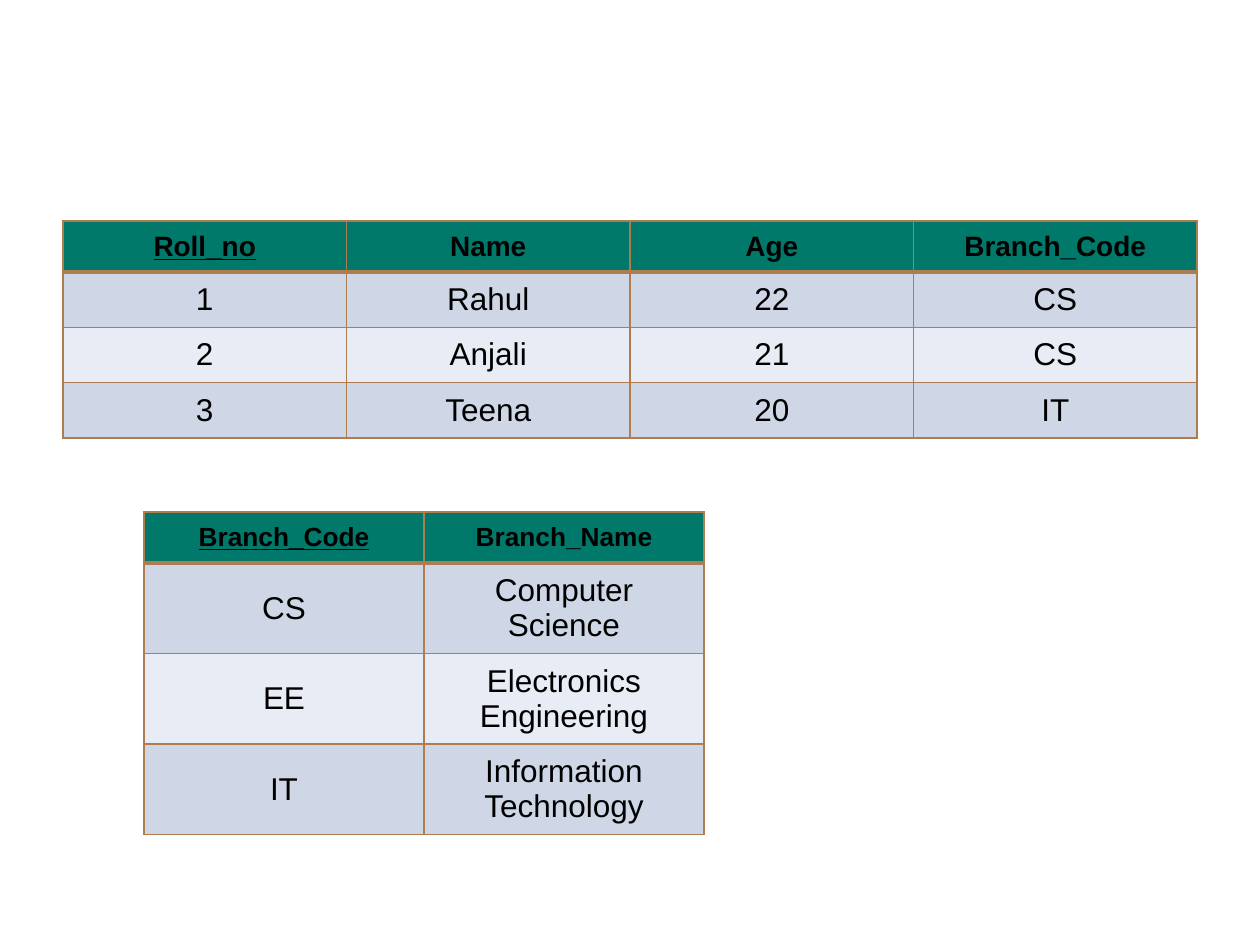
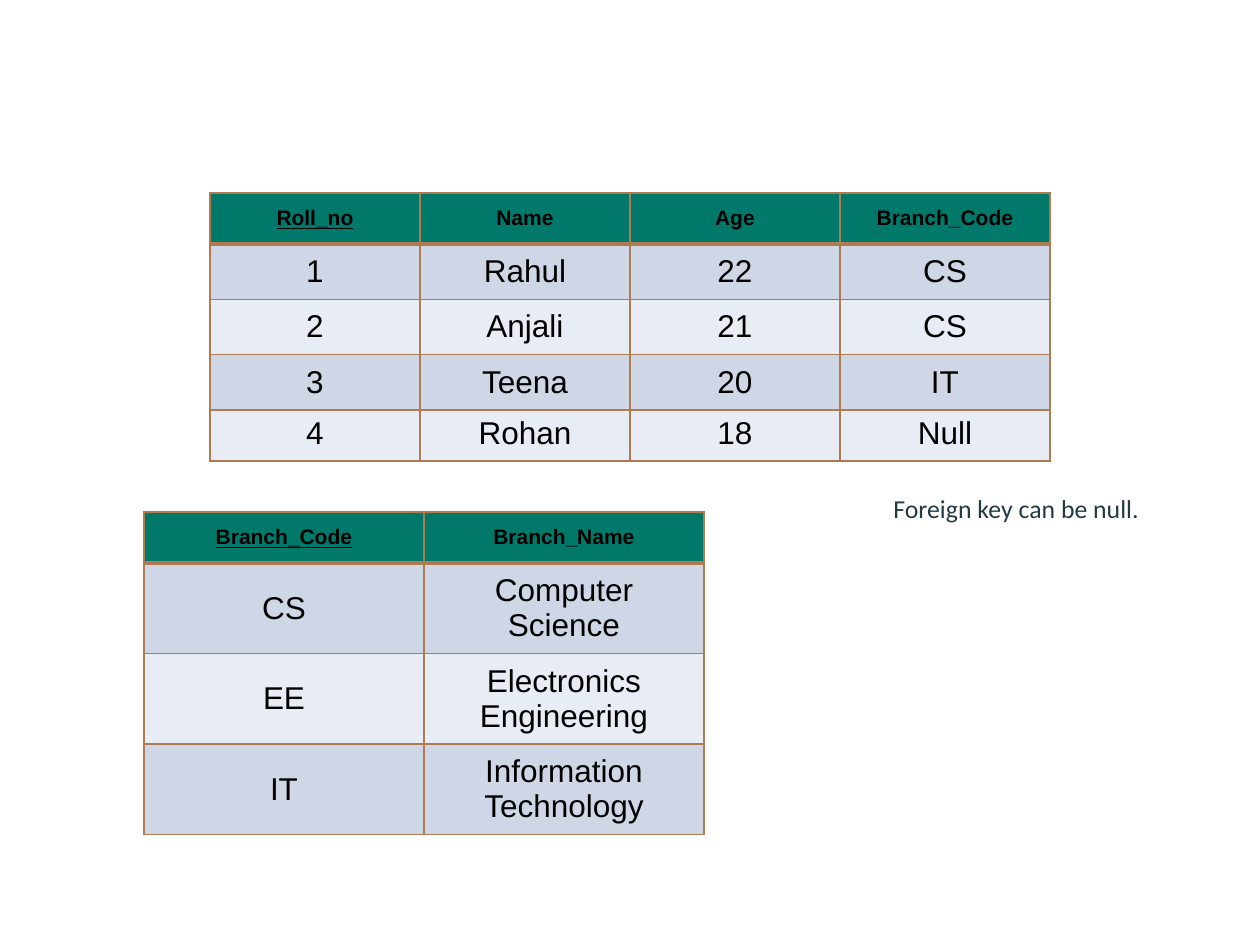
from lxml.etree import SubElement as Sub
from pptx import Presentation as Deck
from pptx.dml.color import RGBColor as Rgb
from pptx.enum.text import MSO_ANCHOR as Anchor, PP_ALIGN as Align
from pptx.oxml import parse_xml as make
from pptx.oxml.ns import nsdecls, qn
from pptx.util import Emu, Pt

# Shared look
SCALE = 914400 / 126
HEX = {"head": "00796B", "odd": "CFD7E7", "even": "E8ECF4",
       "line": "AF7B51", "text": "000000", "note": "233A44"}
ROW = 51
THIN, THICK = 1, 3

# Table content
FIELDS = ["Roll_no", "Name", "Age", "Branch_Code"]
PUPILS = [["1", "Rahul", "22", "CS"],
          ["2", "Anjali", "21", "CS"],
          ["3", "Teena", "20", "IT"]]
NEWEST = ["4", "Rohan", "18", "Null"]
BRANCH = [["Branch_Code", "Branch_Name"],
          ["CS", "Computer Science"],
          ["EE", "Electronics Engineering"],
          ["IT", "Information Technology"]]


def px(n):
    return Emu(round(n * SCALE))


def apply(item, values):
    for name, value in values.items():
        setattr(item, name, value)


def write(par, text, color, **values):
    run = par.add_run()
    run.text = text
    apply(run.font, values)
    run.font.color.rgb = Rgb.from_string(HEX[color])


def edge(cell, sides):
    """Draw cell borders, given as side letter to points."""
    props = cell._tc.get_or_add_tcPr()
    for spot, (side, width) in enumerate(sides.items()):
        props.insert(spot, make(
            f'<a:ln{side} {nsdecls("a")} w="{Pt(width)}"><a:solidFill>'
            f'<a:srgbClr val="{HEX["line"]}"/></a:solidFill></a:ln{side}>'))


def fill_cell(cell, text, row, key, size, pad, anchor):
    head = row == 0
    apply(cell, {"margin_left": px(13), "margin_right": px(13),
                 "margin_top": px(pad), "margin_bottom": px(pad),
                 "vertical_anchor": anchor})
    shade = "head" if head else "odd" if row % 2 else "even"
    cell.fill.solid()
    cell.fill.fore_color.rgb = Rgb.from_string(HEX[shade])
    edge(cell, {"L": THIN, "R": THIN,
                "T": THICK if row == 1 else THIN,
                "B": THICK if head else THIN})
    par = cell.text_frame.paragraphs[0]
    par.alignment = Align.CENTER
    write(par, text, "text", name="Arial", bold=head,
          underline=head and key, size=Pt(size if head else 18))


def add_grid(slide, data, left, top, width, size, loose=None):
    """Add a table; row number `loose` has slim, top-set cells."""
    count = len(data[0])
    grid = slide.shapes.add_table(len(data), count, px(left), px(top),
                                  px(width), px(ROW * len(data))).table
    apply(grid, {"first_row": False, "horz_banding": False})
    for col in grid.columns:
        col.width = px(width / count)
    for r, line in enumerate(data):
        grid.rows[r].height = px(ROW)
        pad, anchor = (6, Anchor.TOP) if r == loose else (10, Anchor.MIDDLE)
        for c, text in enumerate(line):
            fill_cell(grid.cell(r, c), text, r, c == 0, size, pad, anchor)


def add_branch(slide, size):
    add_grid(slide, BRANCH, 144, 512, 560, size)


def add_note(slide, text, left, top, width, height):
    frame = slide.shapes.add_textbox(px(left), px(top), px(width),
                                     px(height)).text_frame
    frame.word_wrap = True
    par = frame.paragraphs[0]
    par.line_spacing = 0.95
    props = par._p.get_or_add_pPr()
    props.set("marL", str(px(48)))
    props.set("indent", str(px(-19)))
    Sub(props, qn("a:buNone"))
    write(par, text, "note", name="Calibri", size=Pt(14.7))


def main():
    deck = Deck()
    apply(deck, {"slide_width": px(1260), "slide_height": px(945)})
    blank = deck.slide_layouts[6]

    # Pupils and their branches
    slide = deck.slides.add_slide(blank)
    add_grid(slide, [FIELDS, *PUPILS], 63, 221, 1134, 16)
    add_branch(slide, 15)

    # Pupil without a branch
    slide = deck.slides.add_slide(blank)
    add_branch(slide, 12)
    add_grid(slide, [FIELDS, *PUPILS, NEWEST], 210, 193, 840, 12, loose=4)
    add_note(slide, "Foreign key can be null.", 852, 489, 362, 91)

    deck.save("out.pptx")


if __name__ == "__main__":
    main()
